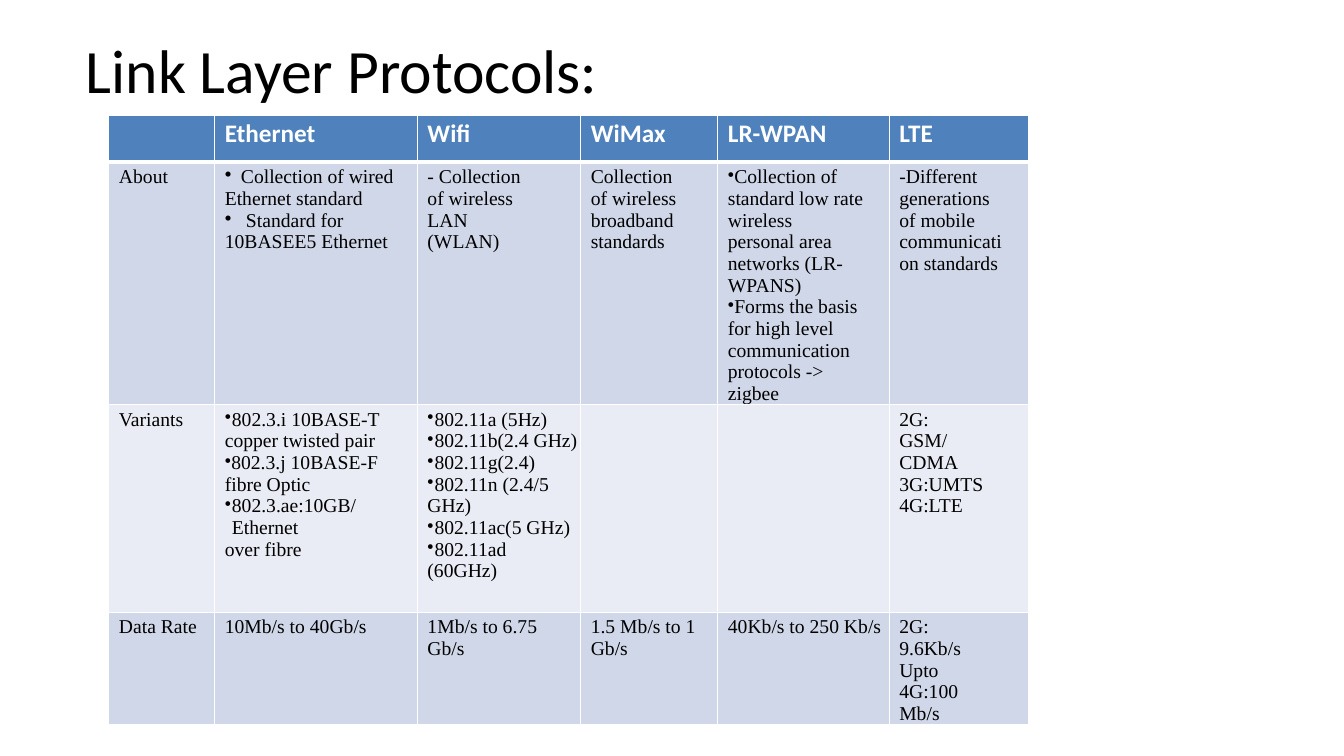
from lxml.etree import SubElement
from pptx import Presentation
from pptx.dml.color import RGBColor
from pptx.enum.text import MSO_ANCHOR, PP_ALIGN
from pptx.oxml.ns import qn
from pptx.util import Inches, Pt

COLORS = {"head": "4F81BC", "odd": "D0D7E8", "even": "E9ECF4",
          "white": "FFFFFF", "black": "000000"}

PLAIN = (0.1, 0, None)
FLUSH = (0.1, 0, 93)
HANG = (0.17, -0.07, 93)
WIDE = (0.26, -0.16, 100)
BROAD = (0.31, -0.21, 100)

COLS = [1.05, 2.01, 1.62, 1.36, 1.7, 1.38]
ROWS = [0.47, 1.91, 2.06, 0.98]
HEADS = ["", "Ethernet", "Wifi", "WiMax", "LR-WPAN", "LTE"]

ABOUT = [
    (0, [("About", PLAIN)]),
    (0, [("Collection of wired", WIDE), ("Ethernet standard", PLAIN),
         ("Standard for", BROAD), ("10BASEE5 Ethernet", PLAIN)]),
    (0.5, [("- Collection of wireless LAN (WLAN)", PLAIN)]),
    (0.32, [("Collection of wireless broadband standards", PLAIN)]),
    (0.18, [("Collection of standard low rate wireless\vpersonal area "
             "networks (LR-\vWPANS)", FLUSH),
            ("Forms the basis for high level communication "
             "protocols -> zigbee", FLUSH)]),
    (0.22, [("-Different generations of mobile communication standards",
             PLAIN)]),
]
VARIANTS = [
    (0, [("Variants", PLAIN)]),
    (0.15, [("802.3.i 10BASE-T", HANG), ("copper twisted pair", PLAIN),
            ("802.3.j 10BASE-F fibre Optic", FLUSH),
            ("802.3.ae:10GB/\vEthernet", HANG), ("over fibre", PLAIN)]),
    (0, [("802.11a (5Hz)", HANG), ("802.11b(2.4 GHz)", HANG),
         ("802.11g(2.4)", HANG), ("802.11n (2.4/5", HANG), ("GHz)", PLAIN),
         ("802.11ac(5 GHz)", HANG), ("802.11ad", HANG), ("(60GHz)", PLAIN)]),
    (0, []),
    (0, []),
    (0.3, [("2G:\vGSM/CDMA 3G:UMTS", PLAIN), ("4G:LTE", PLAIN)]),
]
RATES = [
    (0, [("Data Rate", PLAIN)]),
    (0, [("10Mb/s to 40Gb/s", PLAIN)]),
    (0.1, [("1Mb/s to 6.75 Gb/s", PLAIN)]),
    (0, [("1.5 Mb/s to 1", PLAIN), ("Gb/s", PLAIN)]),
    (0, [("40Kb/s to 250 Kb/s", PLAIN)]),
    (0.38, [("2G: 9.6Kb/s Upto 4G:100 Mb/s", PLAIN)]),
]


def paint(name):
    return RGBColor.from_string(COLORS[name])


def style(font, name, size, color, bold=False):
    font.name = name
    font.size = Pt(size)
    font.bold = bold
    font.color.rgb = paint(color)


def indent(para, kind):
    left, first, size = kind
    props = para._p.get_or_add_pPr()
    props.set("marL", str(Inches(left)))
    props.set("indent", str(Inches(first)))
    if size:
        SubElement(props, qn("a:buSzPct"), val=str(size * 1000))
        SubElement(props, qn("a:buChar"), char="•")
    else:
        SubElement(props, qn("a:buNone"))


def border(cell, top, bottom):
    props = cell._tc.get_or_add_tcPr()
    widths = {"lnL": 1, "lnR": 1, "lnT": top, "lnB": bottom}
    for at, (tag, width) in enumerate(widths.items()):
        line = SubElement(props, qn("a:" + tag), w=str(Pt(width)))
        fill = SubElement(line, qn("a:solidFill"))
        SubElement(fill, qn("a:srgbClr"), val=COLORS["white"])
        props.insert(at, line)


def fill_cell(cell, right, lines, back, look):
    cell.margin_left = cell.margin_bottom = 0
    cell.margin_top = Inches(0.04)
    cell.margin_right = Inches(right)
    cell.fill.solid()
    cell.fill.fore_color.rgb = paint(back)
    frame = cell.text_frame
    for at, (text, kind) in enumerate(lines):
        para = frame.add_paragraph() if at else frame.paragraphs[0]
        para.text = text
        indent(para, kind)
        style(para.font, *look)


def add_title(slide, left, top, width, height):
    title = slide.shapes.title
    title.left, title.top = Inches(left), Inches(top)
    title.width, title.height = Inches(width), Inches(height)
    title.text_frame.text = "Link Layer Protocols:"
    title.text_frame.vertical_anchor = MSO_ANCHOR.MIDDLE
    para = title.text_frame.paragraphs[0]
    para.alignment = PP_ALIGN.LEFT
    para.line_spacing = 0.9
    style(para.font, "Calibri", 44, "black")


def add_grid(slide, left, top):
    heads = [(0, [(text, PLAIN)] if text else []) for text in HEADS]
    rows = [heads, ABOUT, VARIANTS, RATES]
    table = slide.shapes.add_table(
        len(ROWS), len(COLS), Inches(left), Inches(top),
        Inches(sum(COLS)), Inches(sum(ROWS))).table
    for col, width in zip(table.columns, COLS):
        col.width = Inches(width)
    for row, height in zip(table.rows, ROWS):
        row.height = Inches(height)
    backs = ["head", "odd", "even", "odd"]
    for r, (row, back) in enumerate(zip(rows, backs)):
        look = ("Times New Roman", 14, "black") if r else (
            "Calibri", 18, "white", True)
        for c, (right, lines) in enumerate(row):
            cell = table.cell(r, c)
            fill_cell(cell, right, lines, back, look)
            border(cell, 3 if r == 1 else 1, 3 if r == 0 else 1)


def main():
    deck = Presentation()
    deck.slide_width, deck.slide_height = Inches(13.33), Inches(7.5)
    slide = deck.slides.add_slide(deck.slide_layouts[5])
    add_title(slide, 0.75, 0, 11.5, 1.45)
    add_grid(slide, 1.08, 1.14)
    deck.save("out.pptx")


if __name__ == "__main__":
    main()
